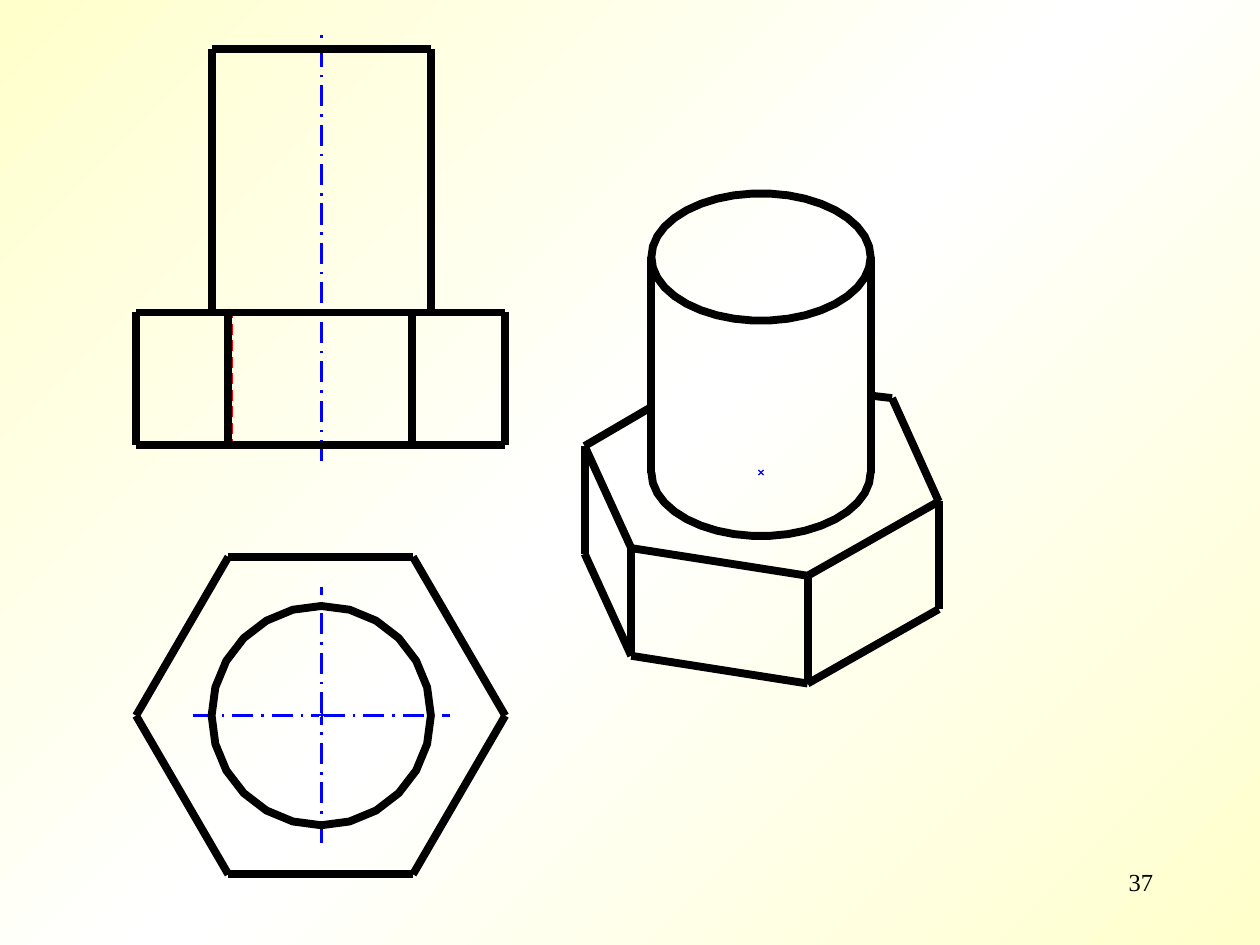
from copy import deepcopy
from itertools import pairwise
from math import cos, radians, sin

from lxml import etree
from pptx import Presentation
from pptx.dml.color import RGBColor
from pptx.enum.dml import MSO_LINE
from pptx.enum.text import PP_ALIGN
from pptx.oxml.ns import qn
from pptx.util import Inches, Pt

DASH = MSO_LINE.LONG_DASH_DOT
RIGHT = PP_ALIGN.RIGHT

THEME = {
    "edge": RGBColor(0, 0, 0),
    "axis": RGBColor(0, 0, 255),
    "hidden": RGBColor(255, 0, 0),
    "cream": RGBColor(255, 255, 204),
    "white": RGBColor(255, 255, 255),
    "font": "Times New Roman",
    "size": Pt(14),
    "bold": Pt(4.5),
    "thin": Pt(1.5),
    "fine": Pt(0.75),
}

deck = Presentation()
deck.slide_width, deck.slide_height = Inches(10), Inches(7.5)
CELL = deck.slide_width / 1000  # grid of 1000 columns and 750 rows
slide = deck.slides.add_slide(deck.slide_layouts[6])


def line(shapes, start, end, color="edge", width="bold", dash=None):
    ends = [round(v * CELL) for v in (*start, *end)]
    link = shapes.add_connector(1, *ends)
    link.line.color.rgb = THEME[color]
    link.line.width = THEME[width]
    if dash:
        link.line.dash_style = dash
    etree.SubElement(link._element.spPr, qn("a:effectLst"))


def arc(shapes, mid, radii, sweep, steps):
    turns = [radians(sweep * i / steps) for i in range(steps + 1)]
    spots = [(round((mid[0] + radii[0] * cos(t)) * CELL),
              round((mid[1] + radii[1] * sin(t)) * CELL)) for t in turns]
    pen = shapes.build_freeform(*spots[0])
    pen.add_line_segments(spots[1:], close=False)
    curve = pen.convert_to_shape()
    curve.shadow.inherit = False
    curve.fill.background()
    curve.line.color.rgb = THEME["edge"]
    curve.line.width = THEME["bold"]


# Background gradient, cream to white to cream
fill = slide.background.fill
fill.gradient()
fill.gradient_angle = 315
ramp = next(slide.element.iter(qn("a:gsLst")))
ramp.append(deepcopy(ramp[0]))
for i, (stop, name) in enumerate(zip(fill.gradient_stops, ("cream", "white", "cream"))):
    stop.color.rgb = THEME[name]
    stop.position = i / 2

# Page number
box = slide.shapes.add_textbox(*(round(v * CELL) for v in (717, 683, 208, 50)))
box.text_frame.word_wrap = True
para = box.text_frame.paragraphs[0]
para.alignment = RIGHT
run = para.add_run()
run.text = "37"
run.font.name, run.font.size = THEME["font"], THEME["size"]
run.font.color.rgb = THEME["edge"]

# Centre lines of the front and top views
flat = slide.shapes
cx, cy = 255, 568
for end in ((cx + 1, cy), (cx, cy - 1)):
    line(flat, (cx, cy), end, "axis")
for start, end in (
    ((153, cy), (253, cy)), ((257, cy), (357, cy)),
    ((cx, 669), (cx, 569)), ((cx, 566), (cx, 466)), ((cx, 366), (cx, 25)),
):
    line(flat, start, end, "axis", "thin", DASH)

# Front view: hidden edge, dashed by hand
top, base = 248, 353
for i in range(9):
    low = base - 13.1 * i + 4.4
    line(flat, (182, min(low, base)), (182, max(low - 8.7, top)), "hidden")

# Front view: bolt head
cols = (108, 181, 327, 401)
for x in cols:
    line(flat, (x, base), (x, top))
for y in (top, base):
    for left, right in pairwise(cols):
        line(flat, (right, y), (left, y))

# Front view: shank
line(flat, (168, 39), (342, 39))
for x in (168, 342):
    line(flat, (x, 39), (x, top))

# Top view: hexagon and shank circle
hexa = [(254.5 + 146.5 * cos(radians(60 * i)), cy + 126 / sin(radians(60)) * sin(radians(60 * i)))
        for i in range(7)]
for start, end in pairwise(hexa):
    line(flat, start, end)
arc(flat, (cx, cy), (87, 87), 360, 24)

# Pictorial view: centre mark
solid = slide.shapes.add_group_shape().shapes
mx, my = 604, 375
for tilt in (-2, 2):
    line(solid, (mx - 2, my - tilt), (mx + 2, my + tilt), "axis", "fine")

# Pictorial view: bolt head
rim = ((464, 354), (501, 435), (641, 457), (745, 398))
foot = [(x, y + 85.5) for x, y in rim]
for ring in (rim, foot):
    for start, end in pairwise(ring):
        line(solid, start, end)
for start, end in zip(foot, rim):
    line(solid, start, end)
line(solid, (708, 316), rim[-1])
line(solid, (691, 314), (708, 316))
line(solid, rim[0], (517, 323))

# Pictorial view: shank
arc(solid, (mx, my), (87, 50.5), 180, 19)
arc(solid, (mx, 204), (87, 50.5), 360, 38)
for x in (mx - 87, mx + 87):
    line(solid, (x, 204), (x, my))

deck.save("out.pptx")
